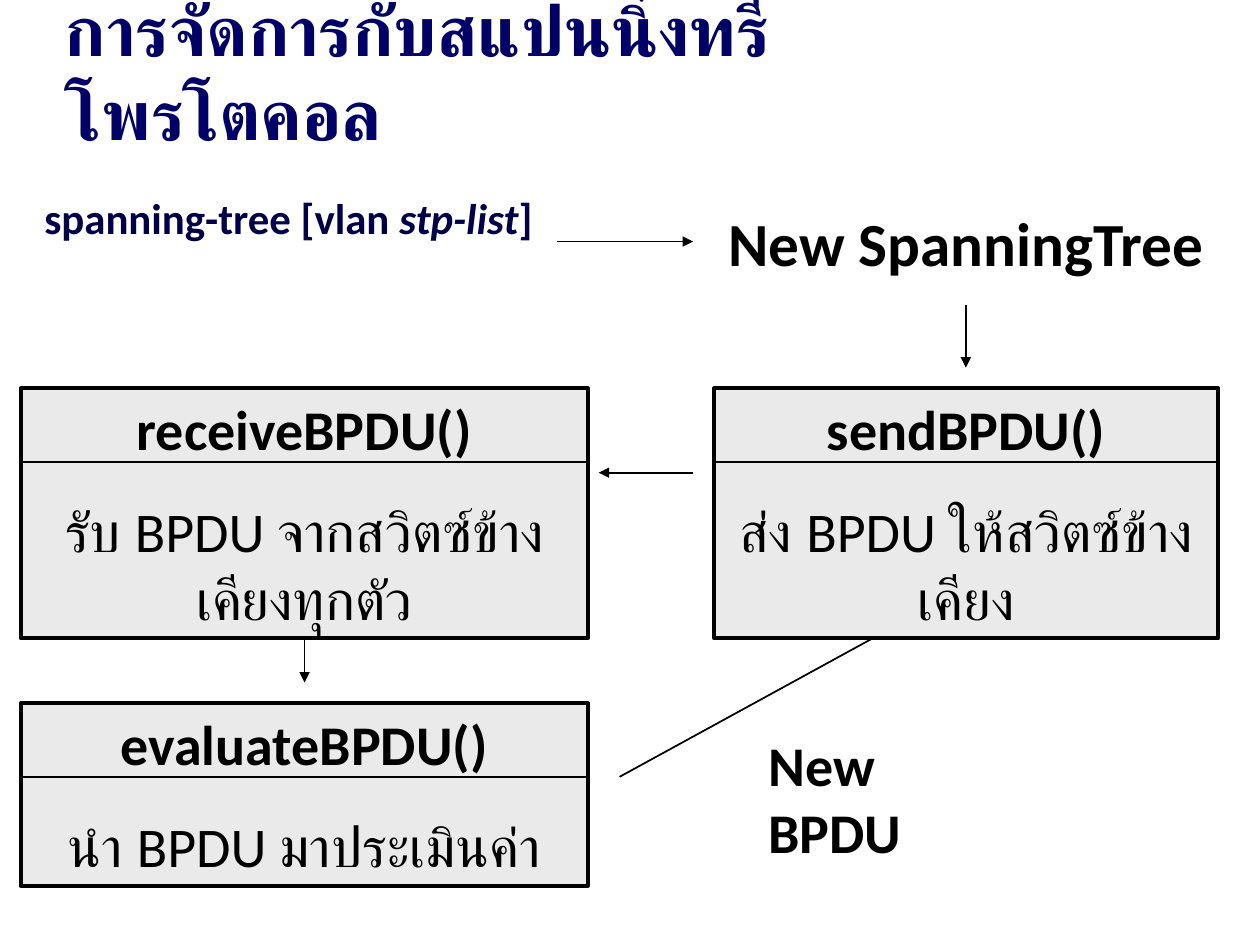
import pptx
import pptx.dml.color
import pptx.enum.shapes
import pptx.enum.text
import pptx.oxml
import pptx.oxml.ns
import pptx.util
from dataclasses import dataclass

Cm = pptx.util.Cm
Pt = pptx.util.Pt
Color = pptx.dml.color.RGBColor.from_string
Align = pptx.enum.text.PP_ALIGN
Anchor = pptx.enum.text.MSO_ANCHOR
Fit = pptx.enum.text.MSO_AUTO_SIZE
Shape = pptx.enum.shapes.MSO_SHAPE
Straight = pptx.enum.shapes.MSO_CONNECTOR.STRAIGHT


@dataclass(frozen=True)
class Theme:
    font: str = "Calibri"
    title: str = "000066"
    command: str = "000048"
    ink: str = "000000"
    panel: str = "EAEAEA"
    paper: str = "FFFFFF"
    title_size: float = 40
    command_size: float = 24.5
    start_size: float = 35
    text_size: float = 32
    gap: float = 20
    border: float = 2.25
    divider: float = 1.5
    arrow: float = 1


THEME = Theme()
LEFT, RIGHT = 0.42, 14.4
WIDE, NARROW = 11.43, 10.16
UPPER, LOWER = 7.83, 14.18
HEADER = 1.48

TITLE = "การจัดการกับสแปนนิ่งทรีโพรโตคอล"
COMMAND = [("spanning-tree [vlan ", False), ("stp-list", True), ("]", False)]
START = "New SpanningTree"
NOTE = "New BPDU"

METHODS = [
    ("sendBPDU()", "ส่ง BPDU ให้สวิตซ์ข้างเคียง", (RIGHT, UPPER, NARROW, 5.04)),
    ("receiveBPDU()", "รับ BPDU จากสวิตซ์ข้างเคียงทุกตัว", (LEFT, UPPER, WIDE, 5.04)),
    ("evaluateBPDU()", "นำ BPDU มาประเมินค่า", (LEFT, LOWER, WIDE, 3.68)),
]

ARROWS = [
    (11.22, 4.87, 13.97, 4.87),
    (19.47, 6.14, 19.47, 7.41),
    (13.97, 9.53, 12.07, 9.53),
    (12.49, 15.66, 19.05, 12.07),
    (6.14, 12.28, 6.14, 13.76),
]


def apply_format(target, values):
    for name, value in values.items():
        setattr(target, name, value)


def place(values):
    return [Cm(value) for value in values]


def write(box, paragraphs, size, color, frame_format, para_format):
    frame = box.text_frame
    apply_format(frame, {"word_wrap": True, **frame_format})
    for index, spans in enumerate(paragraphs):
        para = frame.add_paragraph() if index else frame.paragraphs[0]
        apply_format(para, para_format)
        if index:
            para.space_before = Pt(THEME.gap)
        for text, bold, italic in spans:
            span = para.add_run()
            span.text = text
            apply_format(span.font, {"name": THEME.font, "size": Pt(size),
                                     "bold": bold, "italic": italic})
            span.font.color.rgb = Color(color)


def add_panel(shapes, kind, area, fill):
    box = shapes.add_shape(kind, *place(area))
    box.shadow.inherit = False
    box.fill.solid()
    box.fill.fore_color.rgb = Color(fill)
    return box


def add_line(shapes, ends, width, arrow=False):
    line = shapes.add_connector(Straight, *place(ends))
    line.line.color.rgb = Color(THEME.ink)
    line.line.width = Pt(width)
    if arrow:
        head = pptx.oxml.parse_xml(
            f'<a:tailEnd {pptx.oxml.ns.nsdecls("a")} type="triangle" w="med" len="med"/>')
        line.line._get_or_add_ln().append(head)
    line._element.spPr.append(
        pptx.oxml.parse_xml(f'<a:effectLst {pptx.oxml.ns.nsdecls("a")}/>'))


def add_method(page, name, description, area):
    left, top, width, _ = area
    group = page.shapes.add_group_shape()
    box = add_panel(group.shapes, Shape.RECTANGLE, area, THEME.panel)
    box.line.color.rgb = Color(THEME.ink)
    box.line.width = Pt(THEME.border)
    write(box, [[(name, True, False)], [(description, False, False)]],
          THEME.text_size, THEME.ink,
          {"vertical_anchor": Anchor.TOP, "auto_size": Fit.SHAPE_TO_FIT_TEXT},
          {"alignment": Align.CENTER})
    add_line(group.shapes, (left, top + HEADER, left + width, top + HEADER), THEME.divider)


def main():
    deck = pptx.Presentation()
    apply_format(deck, {"slide_width": Cm(25.4), "slide_height": Cm(19.05)})
    page = deck.slides.add_slide(deck.slide_layouts[6])

    title = page.shapes.add_textbox(*place((1.06, 0.53, 16.2, 1.8)))
    write(title, [[(TITLE, True, False)]], THEME.title_size, THEME.title,
          {"vertical_anchor": Anchor.MIDDLE}, {"alignment": Align.LEFT})

    command = page.shapes.add_textbox(*place((0.63, 4.02, 10.37, 1.9)))
    write(command, [[(text, True, italic) for text, italic in COMMAND]],
          THEME.command_size, THEME.command, {"vertical_anchor": Anchor.TOP},
          {"alignment": Align.CENTER, "line_spacing": 0.7})

    for ends in ARROWS:
        add_line(page.shapes, ends, THEME.arrow, arrow=True)

    note = page.shapes.add_textbox(*place((15.24, 14.6, 4.45, 2.97)))
    write(note, [[(NOTE, True, False)]], THEME.text_size, THEME.ink,
          {"auto_size": Fit.SHAPE_TO_FIT_TEXT}, {"alignment": Align.LEFT})

    for name, description, area in METHODS:
        add_method(page, name, description, area)

    start = add_panel(page.shapes, Shape.OVAL, (RIGHT, 3.81, NARROW, 2.12), THEME.paper)
    start.line.fill.background()
    write(start, [[(START, True, False)]], THEME.start_size, THEME.ink,
          {"vertical_anchor": Anchor.MIDDLE, "word_wrap": False},
          {"alignment": Align.CENTER})

    deck.save("out.pptx")


if __name__ == "__main__":
    main()
